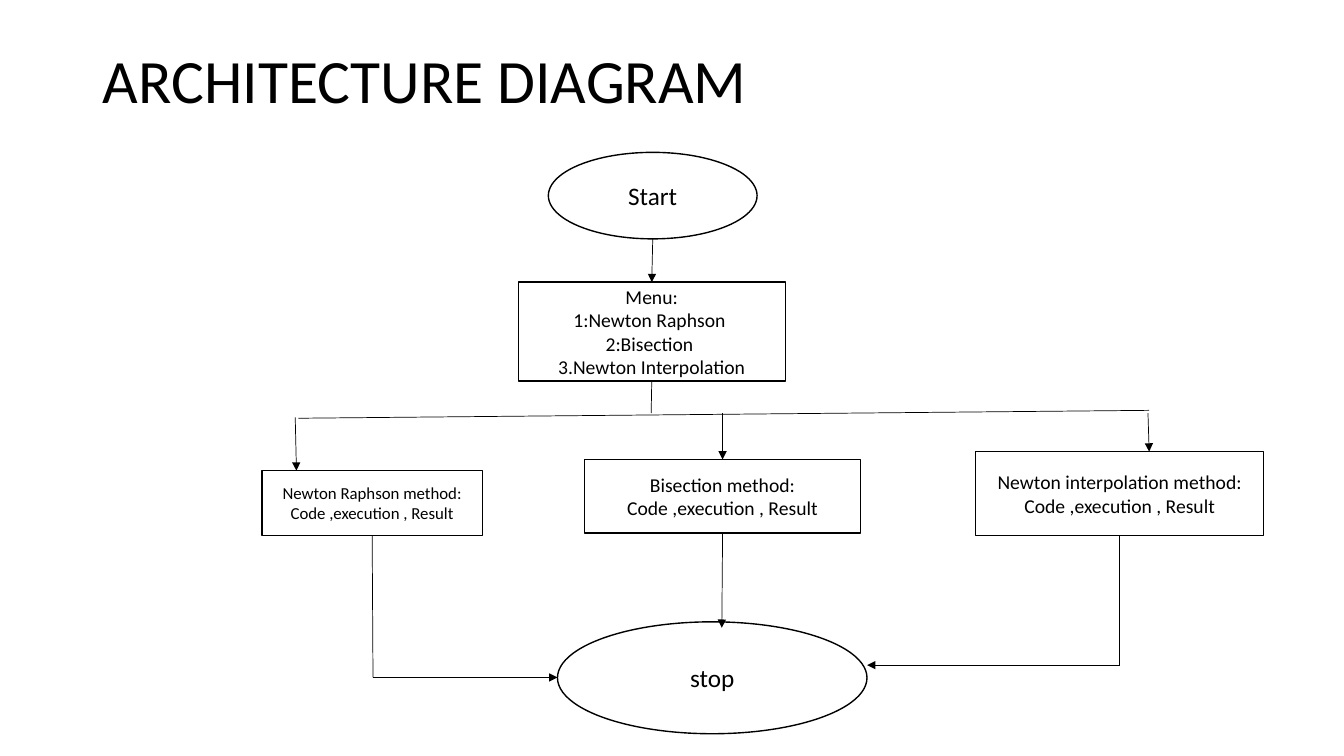
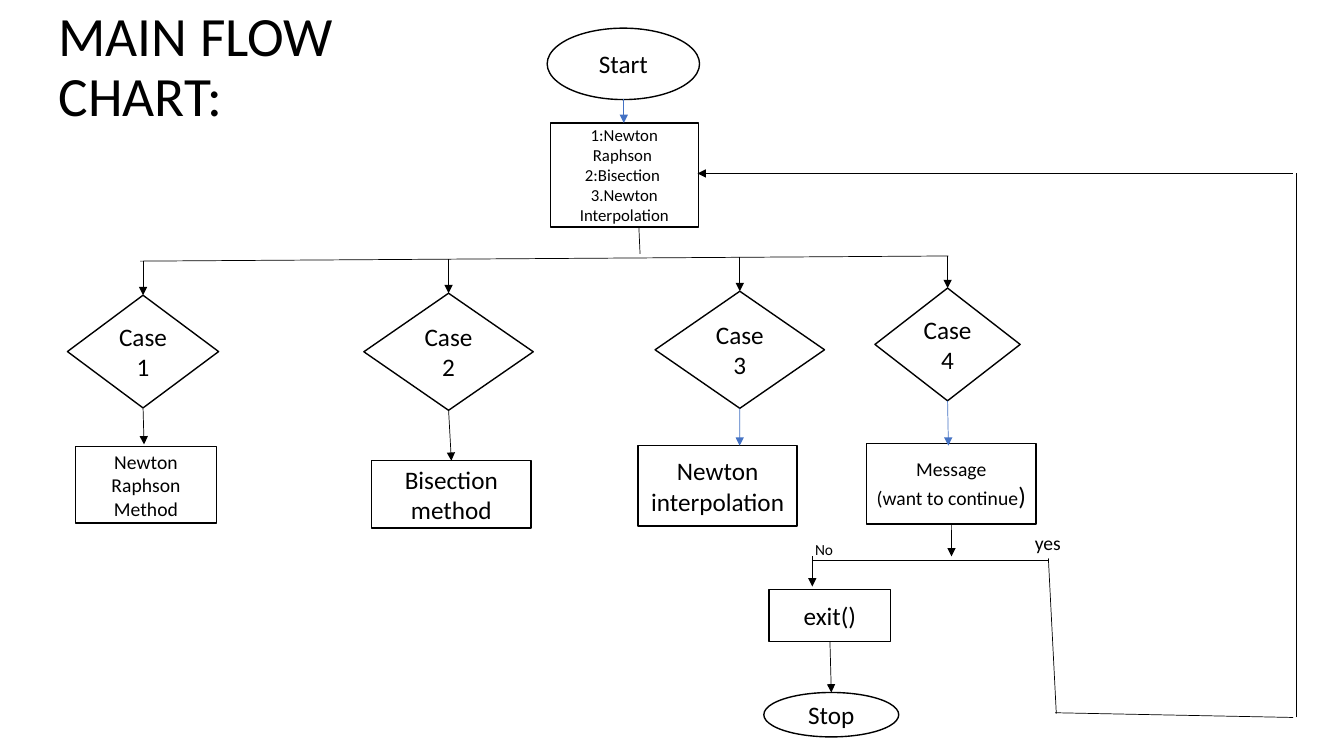
"""Build two flow-chart slides that describe a numerical methods program."""
from dataclasses import dataclass, field

import pptx
import pptx.dml.color
import pptx.enum.shapes
import pptx.enum.text
import pptx.oxml
import pptx.oxml.ns
import pptx.util
from lxml import etree

Cm = pptx.util.Cm
Pt = pptx.util.Pt
Shape = pptx.enum.shapes.MSO_SHAPE
Align = pptx.enum.text.PP_ALIGN
Anchor = pptx.enum.text.MSO_ANCHOR
Point = tuple[float, float]


@dataclass(frozen=True)
class Theme:
    font: str = "Calibri"
    ink: str = "000000"
    paper: str = "FFFFFF"
    accent: str = "4472C4"
    title: float = 44
    title_small: float = 39.6
    large: float = 18
    medium: float = 14
    small: float = 12
    label: float = 11
    outline: float = 1
    wire: float = 0.5


T = Theme()


@dataclass(frozen=True)
class Node:
    text: str
    x: float
    y: float
    w: float
    h: float
    kind: Shape = Shape.RECTANGLE
    size: float = T.large
    suffix: str = ""

    @property
    def top(self) -> Point:
        return self.x + self.w / 2, self.y

    @property
    def bottom(self) -> Point:
        return self.x + self.w / 2, self.y + self.h


@dataclass(frozen=True)
class Edge:
    start: Point
    end: Point
    arrow: bool = True
    color: str = T.ink

    def at(self, x: float) -> Point:
        (x1, y1), (x2, y2) = self.start, self.end
        return x, y1 + (y2 - y1) * (x - x1) / (x2 - x1)


@dataclass(frozen=True)
class Label:
    text: str
    x: float
    y: float
    w: float
    h: float
    size: float


@dataclass(frozen=True)
class Chart:
    title: Label
    nodes: list[Node]
    edges: list[Edge]
    labels: list[Label] = field(default_factory=list)


def rgb(color: str) -> pptx.dml.color.RGBColor:
    return pptx.dml.color.RGBColor.from_string(color)


def write(tf, text: str, *, size: float, align=Align.LEFT, anchor=Anchor.MIDDLE,
          spacing: float = 1.0, suffix: str = "") -> None:
    tf.word_wrap = True
    tf.vertical_anchor = anchor
    for i, line in enumerate(text.split("\n")):
        p = tf.paragraphs[0] if i == 0 else tf.add_paragraph()
        p.alignment = align
        p.line_spacing = spacing
        add_run(p, line, size)
    if suffix:
        add_run(p, suffix, T.large)


def add_run(p, text: str, size: float) -> None:
    r = p.add_run()
    r.text = text
    r.font.name = T.font
    r.font.size = Pt(size)
    r.font.color.rgb = rgb(T.ink)


def draw_title(s, title: Label) -> None:
    sp = s.shapes.title
    sp.left, sp.top = Cm(title.x), Cm(title.y)
    sp.width, sp.height = Cm(title.w), Cm(title.h)
    write(sp.text_frame, title.text, size=title.size, spacing=0.9)
    sp.text_frame.auto_size = pptx.enum.text.MSO_AUTO_SIZE.NONE


def draw_node(s, node: Node) -> None:
    sp = s.shapes.add_shape(node.kind, Cm(node.x), Cm(node.y), Cm(node.w), Cm(node.h))
    sp.shadow.inherit = False
    sp.fill.solid()
    sp.fill.fore_color.rgb = rgb(T.paper)
    sp.line.color.rgb = rgb(T.ink)
    sp.line.width = Pt(T.outline)
    write(sp.text_frame, node.text, size=node.size, align=Align.CENTER, suffix=node.suffix)


def draw_edge(s, edge: Edge) -> None:
    qn = pptx.oxml.ns.qn
    sp = s.shapes.add_connector(pptx.enum.shapes.MSO_CONNECTOR.STRAIGHT,
                                *(Cm(v) for v in edge.start + edge.end))
    sp.line.color.rgb = rgb(edge.color)
    sp.line.width = Pt(T.wire)
    if edge.arrow:
        etree.SubElement(sp.line._get_or_add_ln(), qn("a:tailEnd"), type="triangle")
    etree.SubElement(sp._element.spPr, qn("a:effectLst"))


def draw_label(s, label: Label) -> None:
    sp = s.shapes.add_textbox(Cm(label.x), Cm(label.y), Cm(label.w), Cm(label.h))
    sp.text_frame.margin_right = 0
    write(sp.text_frame, label.text, size=label.size, anchor=Anchor.TOP)


def draw_chart(prs, chart: Chart) -> None:
    s = prs.slides.add_slide(prs.slide_layouts.get_by_name("Title Only"))
    draw_title(s, chart.title)
    for node in chart.nodes:
        draw_node(s, node)
    for edge in chart.edges:
        draw_edge(s, edge)
    for label in chart.labels:
        draw_label(s, label)


def architecture() -> Chart:
    steps = "Code ,execution , Result"
    start = Node("Start", 13.82, 3.84, 5.26, 2.18, Shape.OVAL)
    menu = Node("Menu:\n1:Newton Raphson \n2:Bisection \n3.Newton Interpolation",
                13.06, 7.11, 6.73, 2.49, size=T.medium)
    raphson = Node(f"Newton Raphson method:\n{steps}", 6.6, 11.86, 5.56, 1.63, size=T.small)
    bisection = Node(f"Bisection method:\n{steps}", 14.73, 11.58, 6.96, 1.85, size=T.medium)
    interpolation = Node(f"Newton interpolation method:\n{steps}",
                         24.59, 11.38, 7.26, 2.11, size=T.medium)
    stop = Node("stop", 14.05, 15.67, 7.8, 2.82, Shape.OVAL)
    left_turn, right_turn = (9.4, 17.07), (28.22, 16.76)
    edges = [
        Edge(start.bottom, menu.top),
        Edge(menu.bottom, (16.41, 10.41), arrow=False),
        Edge((7.52, 10.54), (28.96, 10.34), arrow=False),
        Edge((7.44, 10.52), (7.47, raphson.y)),
        Edge((18.21, 10.41), bisection.top),
        Edge((28.93, 10.41), (28.96, interpolation.y)),
        Edge(raphson.bottom, left_turn, arrow=False),
        Edge(left_turn, (stop.x, left_turn[1])),
        Edge(bisection.bottom, (18.19, 15.82)),
        Edge(interpolation.bottom, right_turn, arrow=False),
        Edge(right_turn, (stop.x + stop.w, right_turn[1])),
    ]
    return Chart(Label("ARCHITECTURE DIAGRAM", 2.34, 1.02, 21.49, 2.18, T.title),
                 [start, menu, raphson, bisection, interpolation, stop], edges)


def main_flow() -> Chart:
    start = Node("Start", 13.79, 0.71, 3.84, 1.8, Shape.OVAL)
    menu = Node("1:Newton Raphson \n2:Bisection \n3.Newton Interpolation",
                13.87, 3.1, 3.73, 2.62, size=T.small)
    boxes = [(1.7, 7.44, 3.81, 2.84), (9.17, 7.39, 4.27, 2.95),
             (16.51, 7.34, 4.27, 2.95), (22.05, 7.26, 3.66, 2.84)]
    cases = [Node(f"Case {i}", *box, Shape.DIAMOND) for i, box in enumerate(boxes, 1)]
    raphson = Node("Newton Raphson Method", 1.9, 11.25, 3.56, 1.93, size=T.medium)
    bisection = Node("Bisection method", 9.37, 11.61, 4.01, 1.7)
    interpolation = Node("Newton interpolation", 16.08, 11.23, 4.01, 2.03)
    message = Node("Message\n(want to continue", 21.84, 11.18, 4.27, 2.03,
                   size=T.medium, suffix=")")
    leave = Node("exit()", 19.38, 14.86, 3.07, 1.3)
    stop = Node("Stop", 19.25, 17.45, 3.4, 1.12, Shape.OVAL)
    bus = Edge((3.53, 6.58), (23.9, 6.45), arrow=False)
    edges = [
        Edge((15.72, 2.49), (15.72, menu.y), color=T.accent),
        Edge((16.1, 5.72), (16.13, 6.4), arrow=False),
        bus,
        *(Edge(bus.at(case.top[0]), case.top) for case in cases),
        Edge(cases[0].bottom, (3.63, 11.2)),
        Edge(cases[1].bottom, bisection.top),
        Edge(cases[2].bottom, (18.64, interpolation.y), color=T.accent),
        Edge(cases[3].bottom, (23.9, 11.23), color=T.accent),
        Edge(message.bottom, (23.98, 14.02)),
        Edge((20.47, 14.12), (26.42, 14.12), arrow=False),
        Edge((20.47, 14.02), (20.47, 14.78)),
        Edge(leave.bottom, stop.top),
        Edge((26.42, 14.07), (26.62, 17.98), arrow=False),
        Edge((26.59, 17.96), (32.59, 18.08), arrow=False),
        Edge((32.66, 18.08), (32.66, 4.37), arrow=False),
        Edge((32.59, 4.37), (17.58, 4.37)),
    ]
    labels = [Label("yes", 25.83, 13.26, 1.32, 0.86, T.medium),
              Label("No", 20.29, 13.49, 1.7, 0.74, T.label)]
    nodes = [start, menu, *cases, raphson, bisection, interpolation, message, leave, stop]
    return Chart(Label("MAIN FLOW CHART:", 1.22, 0.64, 9.25, 2.16, T.title_small),
                 nodes, edges, labels)


def main() -> None:
    prs = pptx.Presentation()
    prs.slide_width, prs.slide_height = Cm(33.87), Cm(19.05)
    for chart in (architecture(), main_flow()):
        draw_chart(prs, chart)
    prs.save("out.pptx")


if __name__ == "__main__":
    main()
